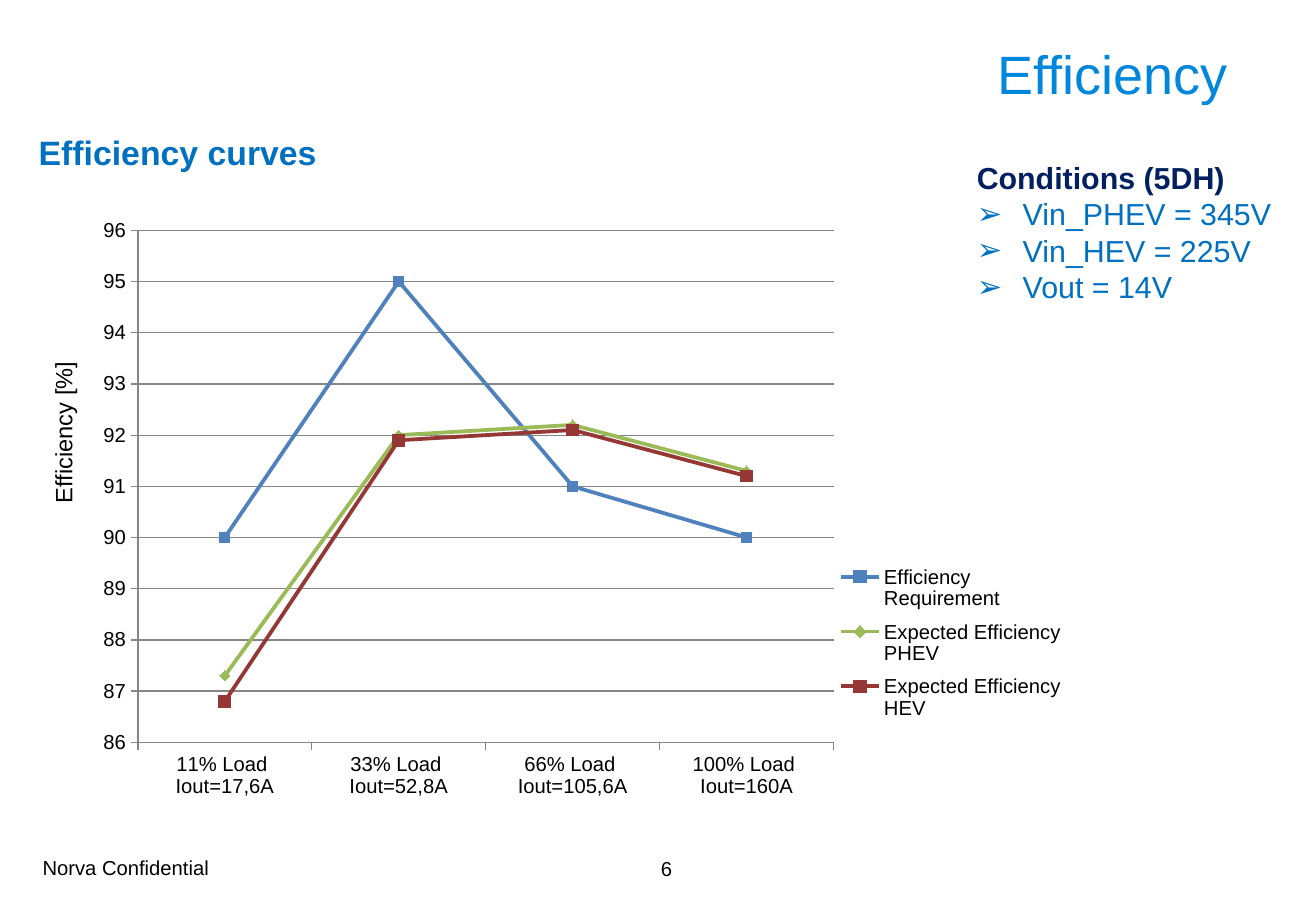
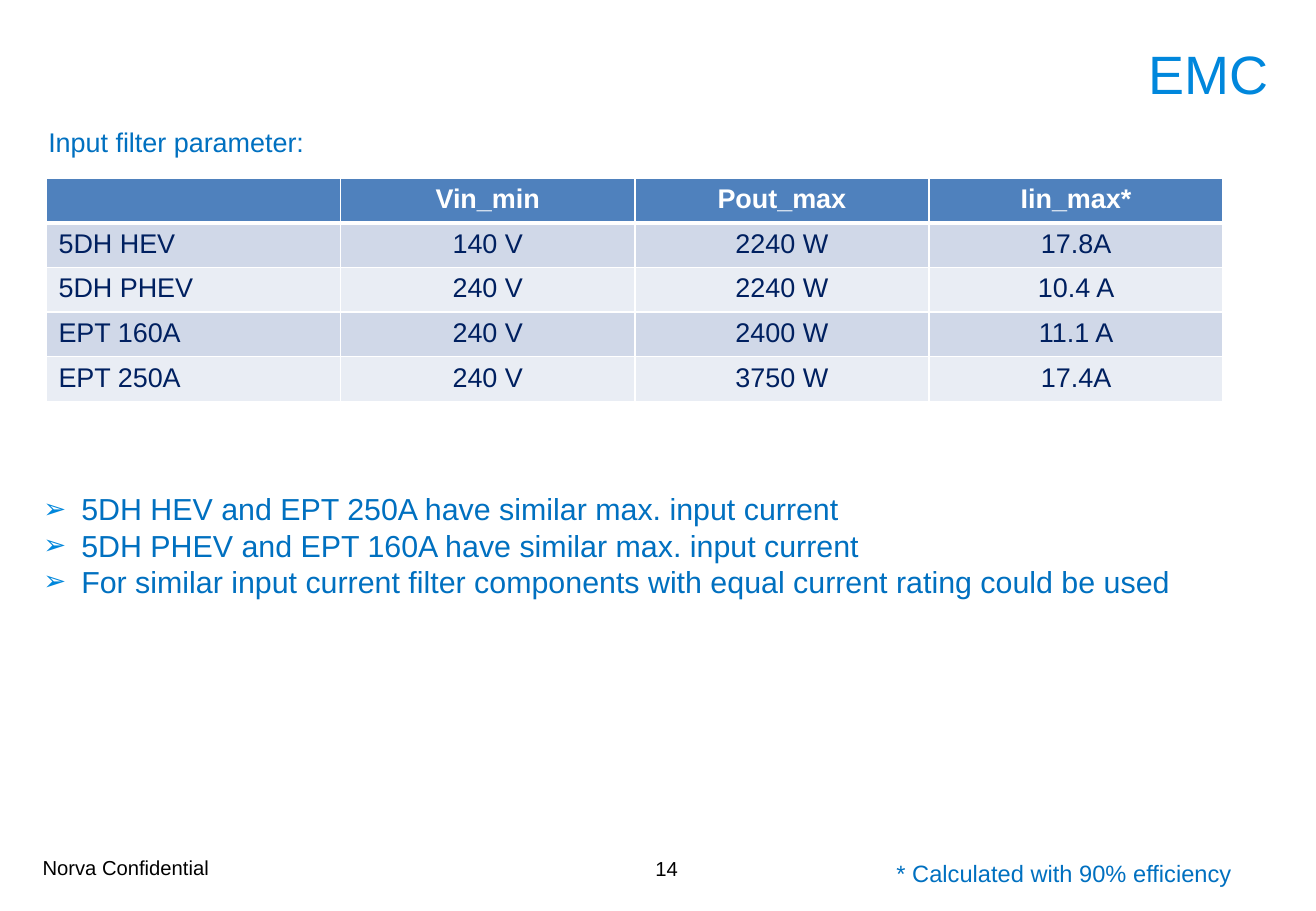
"""Build two slides: efficiency curves and EMC input filter parameters."""
from lxml import etree
from pptx import Presentation
from pptx.chart.data import CategoryChartData
from pptx.dml.color import RGBColor
from pptx.enum.chart import XL_CHART_TYPE, XL_LEGEND_POSITION, XL_MARKER_STYLE, XL_TICK_MARK
from pptx.enum.text import MSO_ANCHOR, PP_ALIGN
from pptx.oxml.ns import qn
from pptx.util import Cm, Pt

LEFT, CENTER, RIGHT = PP_ALIGN.LEFT, PP_ALIGN.CENTER, PP_ALIGN.RIGHT
TOP, MIDDLE = MSO_ANCHOR.TOP, MSO_ANCHOR.MIDDLE
SQUARE, DIAMOND = XL_MARKER_STYLE.SQUARE, XL_MARKER_STYLE.DIAMOND
OUTSIDE = XL_TICK_MARK.OUTSIDE

FONT = "Arial"
COLORS = {
    "title": "0087DC", "body": "0070C0", "navy": "002060", "black": "000000",
    "white": "FFFFFF", "header": "4F81BD", "band": "D0D8E8", "light": "E9EDF4",
    "grid": "868686", "blue": "4F81BD", "green": "9BBB59", "red": "953735",
}

FOOTER = "Norva Confidential"
CONDITIONS = ["Conditions (5DH)", "Vin_PHEV = 345V", "Vin_HEV = 225V", "Vout = 14V"]
CATEGORIES = ["11% Load \nIout=17,6A", "33% Load \nIout=52,8A",
              "66% Load \nIout=105,6A", "100% Load \nIout=160A"]
SERIES = [
    ("Efficiency Requirement", (90, 95, 91, 90), "blue", SQUARE, 6),
    ("Expected Efficiency PHEV", (87.3, 92, 92.2, 91.3), "green", DIAMOND, 6),
    ("Expected Efficiency HEV", (86.8, 91.9, 92.1, 91.2), "red", SQUARE, 7),
]
PLOT_LAYOUT = {"x": 0.055, "y": 0.08, "w": 0.706, "h": 0.788}
LEGEND_LAYOUT = {"x": 0.76, "y": 0.58, "w": 0.24, "h": 0.27}
FILTER_ROWS = [
    ("", "Vin_min", "Pout_max", "Iin_max*"),
    ("5DH HEV", "140 V", "2240 W", "17.8A"),
    ("5DH PHEV", "240 V", "2240 W", "10.4 A"),
    ("EPT 160A", "240 V", "2400 W", "11.1 A"),
    ("EPT 250A", "240 V", "3750 W", "17.4A"),
]
FINDINGS = [
    "5DH HEV and EPT 250A have similar max. input current",
    "5DH PHEV and EPT 160A have similar max. input current",
    "For similar input current filter components with equal current rating could be used",
]


def color(name):
    return RGBColor.from_string(COLORS[name])


def add_child(parent, tag, **attributes):
    child = etree.SubElement(parent, qn(tag))
    for name, value in attributes.items():
        child.set(name, str(value))
    return child


def style_font(font, size, color_name, bold=False):
    font.name, font.size, font.bold = FONT, Pt(size), bold
    font.color.rgb = color(color_name)


def add_text(page, place, lines, size, color_name, bold=False, align=LEFT, anchor=TOP, wrap=True):
    box = page.shapes.add_textbox(*map(Cm, place))
    frame = box.text_frame
    frame.word_wrap, frame.vertical_anchor = wrap, anchor
    frame.text = "\n".join(lines)
    for para in frame.paragraphs:
        para.alignment = align
        style_font(para.font, size, color_name, bold)
    return box


def add_bullet(para, indent, bullet_color=None, percent=100):
    properties = para._p.get_or_add_pPr()
    properties.set("marL", str(Cm(indent)))
    properties.set("indent", str(-Cm(indent)))
    if bullet_color:
        add_child(add_child(properties, "a:buClr"), "a:srgbClr", val=COLORS[bullet_color])
    add_child(properties, "a:buSzPct", val=percent * 1000)
    add_child(properties, "a:buFont", typeface=FONT)
    add_child(properties, "a:buChar", char="➢")


def add_page(deck, title, title_right, number):
    page = deck.slides.add_slide(deck.slide_layouts[6])
    add_text(page, (0.64, 17.65, 4.98, 0.99), [FOOTER], 12, "black", anchor=MIDDLE)
    add_text(page, (10.72, 17.65, 6.43, 1.02), [str(number)], 12, "black",
             align=CENTER, anchor=MIDDLE)
    add_text(page, (6, 0.33, title_right - 6, 2.39), [title], 32, "title",
             align=RIGHT, anchor=MIDDLE)
    return page


def set_layout(parent, position, inner=False):
    for old in parent.findall(qn("c:layout")):
        parent.remove(old)
    layout = etree.Element(qn("c:layout"))
    manual = add_child(layout, "c:manualLayout")
    if inner:
        add_child(manual, "c:layoutTarget", val="inner")
    for side in "xy":
        add_child(manual, f"c:{side}Mode", val="edge")
    for key, value in position.items():
        add_child(manual, f"c:{key}", val=value)
    parent.insert(0 if inner else 1, layout)


def add_efficiency_chart(page):
    data = CategoryChartData()
    data.categories = CATEGORIES
    for name, values, *_ in SERIES:
        data.add_series(name, values)
    chart = page.shapes.add_chart(XL_CHART_TYPE.LINE_MARKERS, Cm(1.75), Cm(3.73),
                                  Cm(20.6), Cm(13.59), data).chart
    style_font(chart.font, 12, "black")
    chart.has_title = False
    chart.has_legend = True
    chart.legend.position = XL_LEGEND_POSITION.RIGHT
    chart.legend.include_in_layout = False
    set_layout(chart.legend._element, LEGEND_LAYOUT)
    set_layout(chart._chartSpace.chart.plotArea, PLOT_LAYOUT, inner=True)

    scale = chart.value_axis
    scale.minimum_scale, scale.maximum_scale, scale.major_unit = 86, 96, 1
    scale.has_major_gridlines = True
    scale.tick_labels.number_format = "General"
    scale.tick_labels.number_format_is_linked = False
    for axis in (scale, chart.category_axis):
        axis.major_tick_mark = OUTSIDE
    for line in (scale.format.line, chart.category_axis.format.line,
                 scale.major_gridlines.format.line):
        line.color.rgb, line.width = color("grid"), Pt(0.75)

    chart.plots[0].vary_by_categories = False
    for curve, (_, _, shade, marker, size) in zip(chart.plots[0].series, SERIES):
        curve.smooth = False
        curve.format.line.color.rgb, curve.format.line.width = color(shade), Pt(2.25)
        curve.marker.style, curve.marker.size = marker, size
        curve.marker.format.fill.solid()
        curve.marker.format.fill.fore_color.rgb = color(shade)
        curve.marker.format.line.color.rgb = color(shade)


def add_borders(cell, widths):
    properties = cell._tc.get_or_add_tcPr()
    for side, width in zip("LRTB", widths):
        line = add_child(properties, f"a:ln{side}", w=Pt(width))
        add_child(add_child(line, "a:solidFill"), "a:srgbClr", val=COLORS["white"])


def add_filter_table(page):
    row_count, column_count = len(FILTER_ROWS), len(FILTER_ROWS[0])
    table = page.shapes.add_table(row_count, column_count, Cm(0.97), Cm(3.73),
                                  Cm(6.15 * column_count), Cm(0.93 * row_count)).table
    table.first_row = table.horz_banding = False
    for column in table.columns:
        column.width = Cm(6.15)
    for row_index, values in enumerate(FILTER_ROWS):
        is_header = row_index == 0
        fill = "header" if is_header else ("light", "band")[row_index % 2]
        for column_index, value in enumerate(values):
            cell = table.cell(row_index, column_index)
            add_borders(cell, (1, 1, 3 if row_index == 1 else 1, 3 if is_header else 1))
            cell.fill.solid()
            cell.fill.fore_color.rgb = color(fill)
            cell.text = value
            para = cell.text_frame.paragraphs[0]
            para.alignment = CENTER if column_index else LEFT
            style_font(para.font, 16, "white" if is_header else "navy", is_header)


def build_efficiency(deck):
    page = add_page(deck, "Efficiency", 25.91, 6)
    add_efficiency_chart(page)
    box = add_text(page, (20.17, 3.2, 6.73, 3.33), CONDITIONS, 18, "body", wrap=False)
    heading, *bullets = box.text_frame.paragraphs
    style_font(heading.font, 18, "navy", True)
    for para in bullets:
        add_bullet(para, 0.96)
    add_text(page, (0.56, 2.64, 6.38, 1.12), ["Efficiency curves"], 20, "body", True, wrap=False)
    axis_title = add_text(page, (-0.43, 8.59, 3.51, 0.86), ["Efficiency [%]"], 14, "black",
                          wrap=False)
    axis_title.rotation = 270


def build_emc(deck):
    page = add_page(deck, "EMC", 26.77, 14)
    add_text(page, (0.76, 2.51, 26.59, 0.94), ["Input filter parameter:"], 16, "body")
    box = add_text(page, (0.66, 10.13, 24.69, 3), FINDINGS, 18, "body")
    for para in box.text_frame.paragraphs:
        add_bullet(para, 0.79, "title", 90)
    add_filter_table(page)
    add_text(page, (18.49, 17.83, 7.7, 0.86), ["* Calculated with 90% efficiency"], 14, "body",
             wrap=False)


def main():
    deck = Presentation()
    deck.slide_width, deck.slide_height = Cm(27.51), Cm(19.05)
    build_efficiency(deck)
    build_emc(deck)
    deck.save("out.pptx")


if __name__ == "__main__":
    main()
